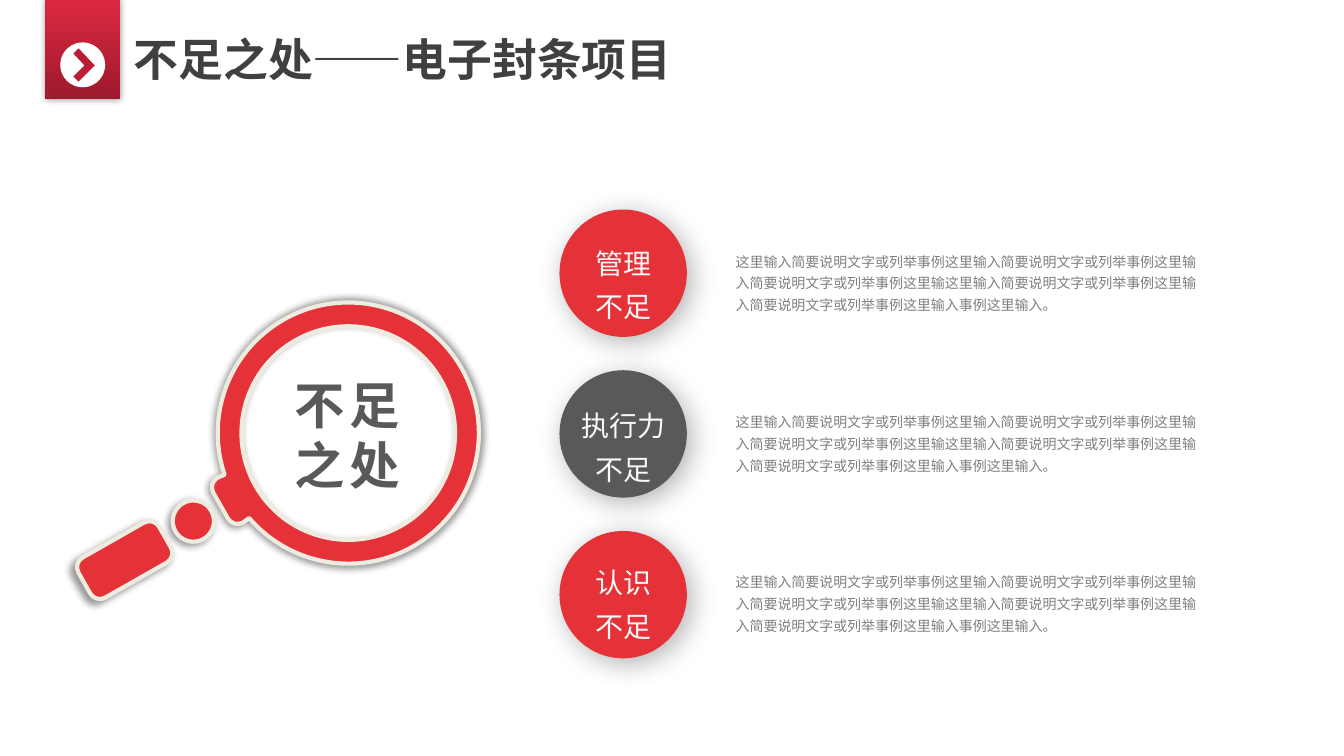
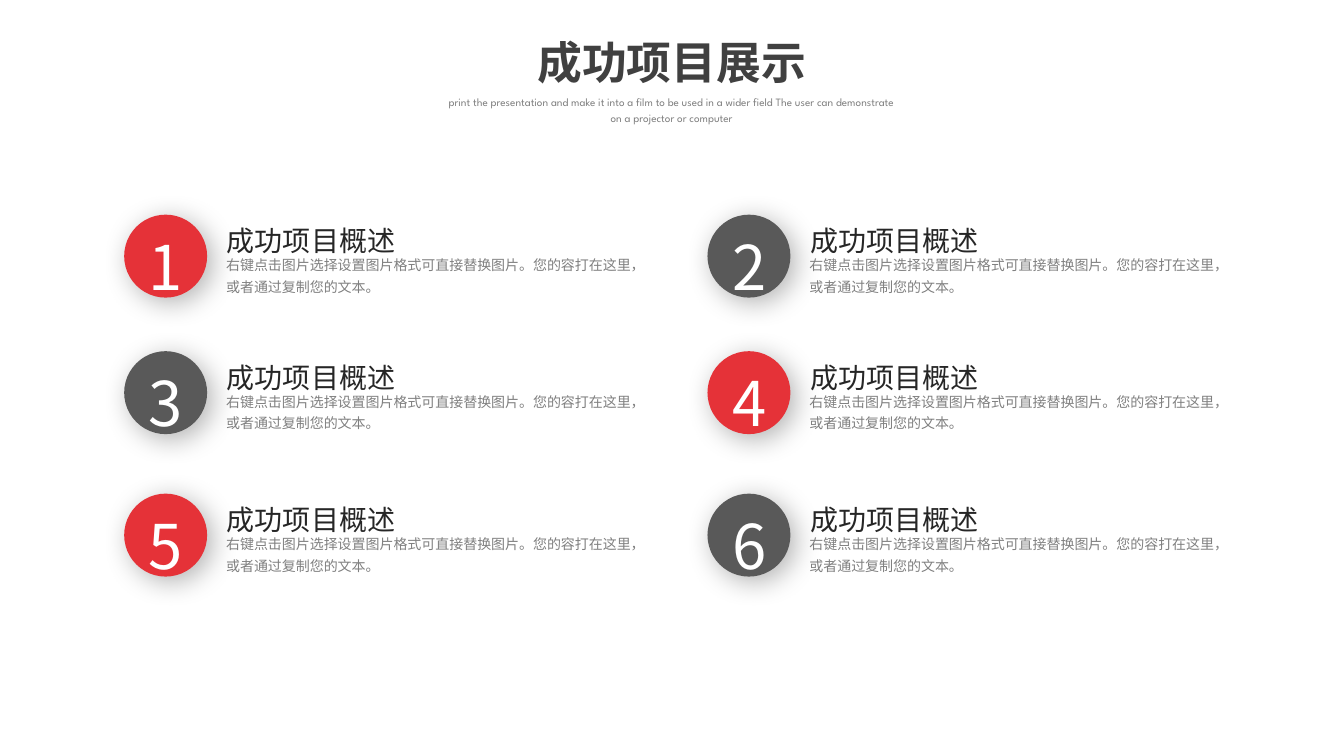
from dataclasses import dataclass
from math import ceil, cos, floor, radians, sin, sqrt, tan

from lxml import etree
from pptx import Presentation
from pptx import util as u
from pptx.dml.color import RGBColor
from pptx.enum import shapes, text
from pptx.oxml.ns import qn


@dataclass(frozen=True)
class Theme:
    red: str = "E53238"
    gray: str = "595959"
    top: str = "DC2841"
    base: str = "9E192C"
    arrow: str = "BA1E34"
    rim: str = "EEECE1"
    white: str = "FFFFFF"
    pale: str = "F8F8F8"
    head: str = "404040"
    ink: str = "262626"
    note: str = "808080"
    font: str = "Noto Sans CJK SC"
    title: int = 32
    lens: int = 36
    digit: int = 44
    label: int = 20
    body: int = 10
    small: int = 8


@dataclass(frozen=True)
class Shade:
    """A shadow: alpha and scale in percent, blur and distance in points."""
    alpha: int
    blur: int
    dist: int = 0
    angle: int = 0
    scale: int = 100


@dataclass(frozen=True)
class Point:
    label: str
    fill: str
    drop: float


T = Theme()
GLOW = Shade(40, 5)
HALO = Shade(40, 5, scale=102)
DROP = Shade(30, 20, 5, 45)
LEFT, MID = text.PP_ALIGN.LEFT, text.PP_ALIGN.CENTER
INSET = (0.25, 0.13, 0.25, 0.13)

POINTS = [
    Point("管理\n不足", T.red, 0.54),
    Point("执行力\n不足", T.gray, 0.58),
    Point("认识\n不足", T.red, 0.49),
]
DETAIL = (
    "这里输入简要说明文字或列举事例这里输入简要说明文字或列举事例"
    "这里输入简要说明文字或列举事例这里输这里输入简要说明文字或列举事例"
    "这里输入简要说明文字或列举事例这里输入事例这里输入。"
)
BRIEF = "右键点击图片选择设置图片格式可直接替换图片。您的容打在这里，或者通过复制您的文本。"
FILM = (
    "print the presentation and make it into a film to be used in a wider field "
    "The user can demonstrate on a projector or computer"
)


def write(slide, words: str, x: float, y: float, w: float, h: float, *,
          size: int, color: str, font: str = T.font, bold: bool = False,
          align=LEFT, lead: float = 1.0, space: int = 0, wrap: bool = True,
          inset: tuple = INSET, anchor=text.MSO_ANCHOR.TOP) -> None:
    """Add a text box with one paragraph per line of words; space is in points."""
    box = slide.shapes.add_textbox(u.Cm(x), u.Cm(y), u.Cm(w), u.Cm(h))
    frame = box.text_frame
    frame.word_wrap = wrap
    frame.vertical_anchor = anchor
    (frame.margin_left, frame.margin_top,
     frame.margin_right, frame.margin_bottom) = map(u.Cm, inset)
    frame.text = words
    for para in frame.paragraphs:
        para.alignment, para.line_spacing = align, lead
        for run in para.runs:
            run.font.size, run.font.bold, run.font.name = u.Pt(size), bold, font
            run.font.color.rgb = RGBColor.from_string(color)
            props = run.font._element
            etree.SubElement(props, qn("a:ea")).set("typeface", T.font)
            if space:
                props.set("spc", str(space * 100))


def paint(shape, fill: str, shade: Shade | None = None) -> None:
    """Give a shape a plain fill, no line and at most one shadow."""
    shape.fill.solid()
    shape.fill.fore_color.rgb = RGBColor.from_string(fill)
    shape.line.fill.background()
    shape.shadow.inherit = False
    if shade:
        scale = str(shade.scale * 1000)
        glow = etree.SubElement(
            shape._element.spPr.find(qn("a:effectLst")), qn("a:outerShdw"),
            blurRad=str(u.Pt(shade.blur)), dist=str(u.Pt(shade.dist)),
            dir=str(shade.angle * 60000), sx=scale, sy=scale,
            algn="ctr", rotWithShape="0")
        tint = etree.SubElement(glow, qn("a:srgbClr"), val="000000")
        etree.SubElement(tint, qn("a:alpha"), val=str(shade.alpha * 1000))


def disc(slide, x: float, y: float, size: float, fill: str,
         shade: Shade | None = None) -> None:
    shape = slide.shapes.add_shape(
        shapes.MSO_SHAPE.OVAL, u.Cm(x), u.Cm(y), u.Cm(size), u.Cm(size))
    paint(shape, fill, shade)


def trace(slide, rings: list, fill: str, shade: Shade | None = None):
    """Build one freeform; a step of one point is a line, of three a curve."""
    pen, steps = None, []
    for ring in rings:
        first, *rest = [(u.Cm(x), u.Cm(y)) for step in ring for x, y in step]
        if pen is None:
            pen = slide.shapes.build_freeform(*first)
        else:
            pen.move_to(*first)
        pen.add_line_segments(rest, close=False)
        pen.add_line_segments([], close=True)
        steps += ring[1:]
    shape = pen.convert_to_shape()
    lines = iter(list(shape._element.iter(qn("a:lnTo"))))
    for step in steps:
        head, *tail = [next(lines) for _ in step]
        if tail:
            head.tag = qn("a:cubicBezTo")
        for line in tail:
            head.append(line[0])
            line.getparent().remove(line)
    paint(shape, fill, shade)
    return shape


def arc(x: float, y: float, r: float, start: int, end: int) -> list:
    """Curve steps split at quarter turns; degrees run clockwise from the right."""
    low, high = sorted((start, end))
    stops = [low, *range(90 * floor(low / 90 + 1), 90 * ceil(high / 90), 90), high]
    if start > end:
        stops.reverse()
    steps = [((x + r * cos(radians(start)), y + r * sin(radians(start))),)]
    for a, b in zip(stops, stops[1:]):
        a, b = radians(a), radians(b)
        k = 4 / 3 * tan((b - a) / 4)
        steps.append((
            (x + r * (cos(a) - k * sin(a)), y + r * (sin(a) + k * cos(a))),
            (x + r * (cos(b) + k * sin(b)), y + r * (sin(b) - k * cos(b))),
            (x + r * cos(b), y + r * sin(b))))
    return steps


def glass(slide) -> None:
    """Draw the magnifier on a diagonal, then turn it."""
    x, y, bend = 8.5, 10.55, 0.28

    def spot(out: float, side: float) -> tuple:
        """Centre at a distance down the diagonal and to its right."""
        return x + (side - out) / sqrt(2), y + (side + out) / sqrt(2)

    rim = (arc(x, y, 3.29, 124, -214) + arc(*spot(3.42, -0.37), bend, 225, 135)
           + arc(*spot(3.42, 0.37), bend, 135, 45))
    grip = []
    for i, (out, side) in enumerate([(-1, 1), (1, 1), (1, -1), (-1, -1)]):
        grip += arc(*spot(6.48 + 0.89 * out, 0.3 * side), bend,
                    90 * i - 45, 90 * i + 45)
    rings = [rim, arc(x, y, 2.69, 0, 360), arc(*spot(4.49, 0), 0.52, 0, 360), grip]
    shape = trace(slide, rings, T.red, HALO)
    shape.line.color.rgb = RGBColor.from_string(T.rim)
    shape.line.width = u.Pt(3)
    shape.rotation = 15.4


def title(slide, words: str, x: float, y: float, w: float, font: str, align=LEFT) -> None:
    write(slide, words, x, y, w, 1.63, size=T.title, color=T.head,
          font=font, bold=True, align=align)


def badge(slide) -> None:
    """Draw the ribbon with its arrow at the top left."""
    band = slide.shapes.add_shape(
        shapes.MSO_SHAPE.RECTANGLE, u.Cm(1.14), 0, u.Cm(1.89), u.Cm(2.5))
    paint(band, T.top, GLOW)
    band.fill.gradient()
    band.fill.gradient_angle = 270
    for stop, color in zip(band.fill.gradient_stops, (T.top, T.base)):
        stop.color.rgb = RGBColor.from_string(color)
    disc(slide, 1.52, 1.07, 1.13, T.white)
    tips = [(1.98, 1.22), (2.39, 1.65), (1.98, 2.06),
            (1.85, 1.93), (2.13, 1.65), (1.85, 1.35)]
    trace(slide, [[(tip,) for tip in tips]], T.arrow)


def faults(slide) -> None:
    title(slide, "不足之处——电子封条项目", 3.12, 0.66, 14.2, "Roboto")
    badge(slide)
    x, size = 14.1, 3.21
    for i, point in enumerate(POINTS):
        y = 5.28 + 4.05 * i
        disc(slide, x, y, size, point.fill, DROP)
        write(slide, point.label, x, y + point.drop, size, 2.49, size=T.label,
              color=T.pale, align=MID, lead=1.3)
        write(slide, DETAIL, 18.29, 6.12 + 4.04 * i, 12.24, 2.49, size=T.body,
              color=T.note, lead=1.3)
    glass(slide)
    write(slide, "不足\n之处", 7.18, 9.29, 3.3, 3.33, size=T.lens, color=T.gray,
          font="Lato", bold=True, space=3, wrap=False)


def wins(slide) -> None:
    for row, y in enumerate((5.41, 8.85, 12.44)):
        for col, x in enumerate((3.13, 17.83)):
            disc(slide, x, y, 2.09, T.gray if (row + col) % 2 else T.red, DROP)
            write(slide, str(2 * row + col + 1), x + 0.39, y + 0.12, 1.32, 1.78,
                  size=T.digit, color=T.white, align=MID, lead=1.3,
                  inset=(0, 0, 0, 0), anchor=text.MSO_ANCHOR.MIDDLE)
            write(slide, BRIEF, x + 2.32, y + 0.8, 10.8, 1.32, size=T.body,
                  color=T.note, lead=1.3)
            write(slide, "成功项目概述", x + 2.08, y - 0.28, 8.43, 1.52, size=T.label,
                  color=T.ink, lead=1.3, inset=(0.51, 0.25, 0.51, 0.25))
    font = "League Spartan"
    title(slide, "成功项目展示", 11, 0.74, 11.86, font, MID)
    write(slide, FILM, 11, 2.21, 11.86, 1.07, size=T.small, color=T.note,
          font=font, align=MID, lead=1.2)


def main() -> None:
    deck = Presentation()
    deck.slide_width, deck.slide_height = u.Cm(33.87), u.Cm(19.05)
    for draw in (faults, wins):
        draw(deck.slides.add_slide(deck.slide_layouts[6]))
    deck.save("out.pptx")


if __name__ == "__main__":
    main()
